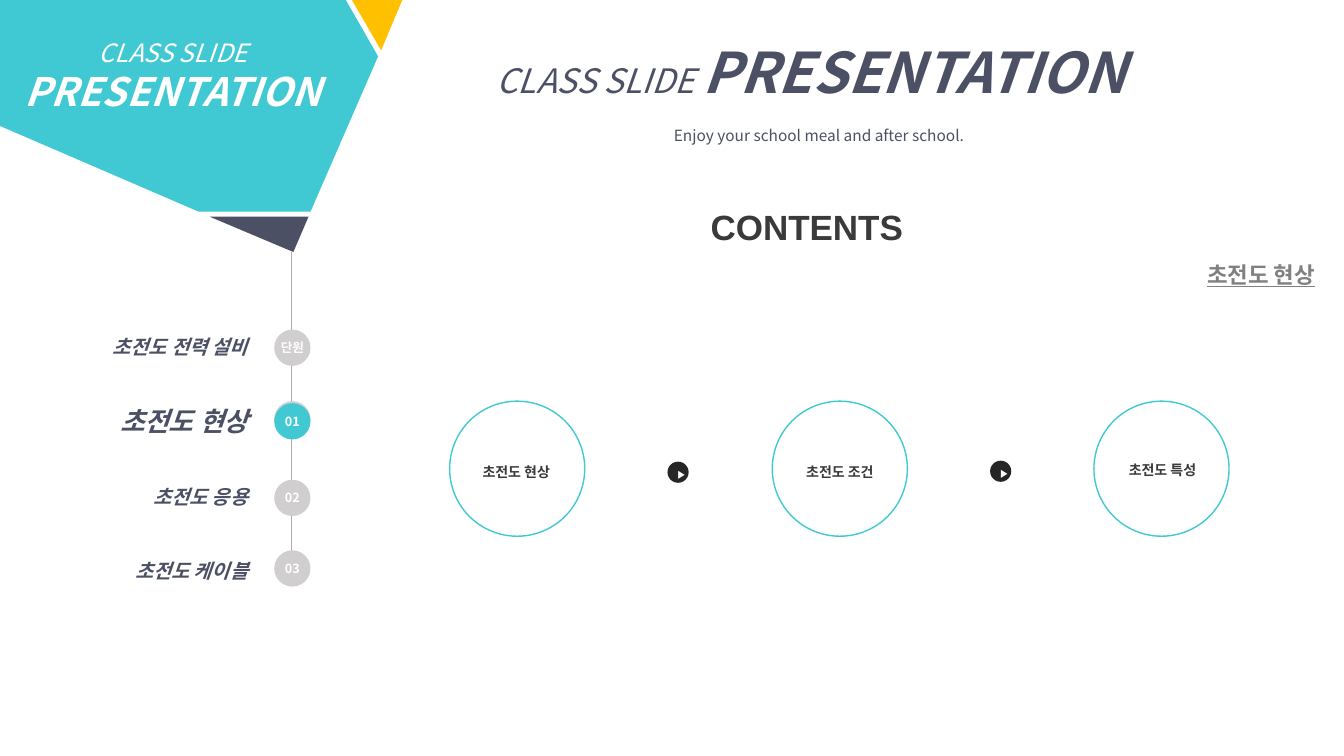
from lxml import etree
from pptx import Presentation
from pptx.dml.color import RGBColor
from pptx.enum.shapes import MSO_CONNECTOR, MSO_SHAPE
from pptx.enum.text import MSO_ANCHOR, MSO_AUTO_SIZE, PP_ALIGN
from pptx.oxml.ns import qn
from pptx.util import Pt

SCALE = 9144
OVAL = MSO_SHAPE.OVAL
STRAIGHT = MSO_CONNECTOR.STRAIGHT
MIDDLE = MSO_ANCHOR.MIDDLE
GROW = MSO_AUTO_SIZE.SHAPE_TO_FIT_TEXT
LEFT, CENTER, RIGHT = PP_ALIGN.LEFT, PP_ALIGN.CENTER, PP_ALIGN.RIGHT
NOTO = "Noto Sans CJK KR"
ARIAL = "Arial"
COLORS = {
    "teal": "41C9D3",
    "navy": "4C5064",
    "amber": "FFC000",
    "silver": "D0CECE",
    "rail": "AFABAB",
    "charcoal": "3A3A3A",
    "gray": "808080",
    "ink": "262626",
    "white": "FFFFFF",
}


def px(length):
    return int(length * SCALE)


def rgb(name):
    return RGBColor.from_string(COLORS[name])


def add_run(paragraph, text, size, color, font=NOTO, bold=False, italic=False, underline=False):
    run = paragraph.add_run()
    run.text = text
    run.font.size = Pt(size)
    run.font.color.rgb = rgb(color)
    run.font.name = font
    run.font.bold = bold
    run.font.italic = italic
    run.font.underline = underline
    east_asian = etree.Element(qn("a:ea"), typeface=NOTO)
    run.font._element.find(qn("a:latin")).addnext(east_asian)


def add_text_box(slide, left, top, width, height):
    box = slide.shapes.add_textbox(px(left), px(top), px(width), px(height))
    box.text_frame.word_wrap = True
    box.text_frame.auto_size = GROW
    return box.text_frame


def format_paragraph(paragraph, align, spacing=None):
    paragraph.alignment = align
    paragraph.line_spacing = spacing
    return paragraph


def add_label(slide, bounds, text, align=CENTER, spacing=None, **style):
    frame = add_text_box(slide, *bounds)
    add_run(format_paragraph(frame.paragraphs[0], align, spacing), text, **style)
    return frame


def add_title(slide, bounds, color, small, large):
    frame = add_label(slide, bounds, "CLASS SLIDE ", size=small, color=color, italic=True)
    add_run(frame.paragraphs[0], "PRESENTATION", large, color, bold=True, italic=True)


def add_polygon(slide, points, color):
    start, *rest = points
    builder = slide.shapes.build_freeform(*start, scale=SCALE)
    builder.add_line_segments(rest, close=True)
    shape = builder.convert_to_shape()
    shape.shadow.inherit = False
    shape.fill.solid()
    shape.fill.fore_color.rgb = rgb(color)
    shape.line.fill.background()


def add_circle(slide, left, top, diameter, fill=None, outline=None):
    shape = slide.shapes.add_shape(OVAL, px(left), px(top), px(diameter), px(diameter))
    shape.shadow.inherit = False
    if fill:
        shape.fill.solid()
        shape.fill.fore_color.rgb = rgb(fill)
    else:
        shape.fill.background()
    if outline:
        shape.line.color.rgb = rgb(outline)
        shape.line.width = Pt(1)
    else:
        shape.line.fill.background()
    return shape


def add_badge(slide, top, text, color):
    frame = add_circle(slide, 272, top, 36, fill=color).text_frame
    frame.margin_left = frame.margin_right = frame.margin_top = frame.margin_bottom = 0
    frame.vertical_anchor = MIDDLE
    add_run(format_paragraph(frame.paragraphs[0], CENTER), text, 9, "white", bold=True)


def add_rail(slide):
    rail = slide.shapes.add_connector(STRAIGHT, px(289), px(250), px(289), px(564))
    rail.line.color.rgb = rgb("rail")
    rail.line.width = Pt(0.5)
    etree.SubElement(rail._element.spPr, qn("a:effectLst"))


def add_step(slide, left, label_left, label_top, text):
    add_circle(slide, left, 398, 134, outline="teal")
    add_label(slide, (label_left, label_top, 120, 32), text, spacing=1.5,
              size=10, color="charcoal", font=ARIAL, bold=True)


def add_arrow(slide, left, top):
    add_circle(slide, left, top, 21, fill="ink")
    add_label(slide, (left + 3, top - 6, 17, 28), "▶", spacing=1.5,
              size=8, color="white", font=ARIAL, bold=True)


def add_contents_heading(slide):
    frame = add_label(slide, (695, 178, 619, 144), "CONTENTS", align=LEFT, spacing=1.5,
                      size=25, color="charcoal", font=ARIAL, bold=True)
    topic = format_paragraph(frame.add_paragraph(), RIGHT, 1.5)
    add_run(topic, "초전도 현상", 16, "gray", font=ARIAL, bold=True, underline=True)


def main():
    presentation = Presentation()
    presentation.slide_width = px(1333)
    presentation.slide_height = px(750)
    slide = presentation.slides.add_slide(presentation.slide_layouts[6])

    add_rail(slide)
    add_polygon(slide, [(349, 0), (401, 0), (399, 0), (378, 50)], "amber")
    add_polygon(slide, [(0, 0), (343, 0), (375, 56), (308, 210), (197, 210), (0, 125)], "teal")
    add_polygon(slide, [(208, 215), (306, 215), (291, 250)], "navy")

    add_title(slide, (-2, 32, 347, 88), "white", 18, 28)
    add_title(slide, (429, 32, 751, 77), "navy", 24, 40)
    add_label(slide, (446, 111, 733, 34), "Enjoy your school meal and after school.",
              spacing=1.5, size=11, color="navy")
    add_contents_heading(slide)

    for step in [
        (446, 452, 447, "초전도 현상"),
        (766, 773, 447, "초전도 조건"),
        (1085, 1093, 445, "초전도 특성"),
    ]:
        add_step(slide, *step)
    for left, top in [(982, 457), (662, 458)]:
        add_arrow(slide, left, top)

    for top, height, size, text in [
        (327, 34, 14, "초전도 전력 설비"),
        (397, 42, 19, "초전도 현상"),
        (476, 34, 14, "초전도 응용"),
        (550, 34, 14, "초전도 케이블"),
    ]:
        add_label(slide, (15, top, 241, height), text, align=RIGHT,
                  size=size, color="navy", font=ARIAL, bold=True, italic=True)
    for top, text, color in [
        (398, "01", "silver"),
        (546, "03", "silver"),
        (400, "01", "teal"),
        (476, "02", "silver"),
        (327, "단원", "silver"),
    ]:
        add_badge(slide, top, text, color)

    presentation.save("out.pptx")


if __name__ == "__main__":
    main()
